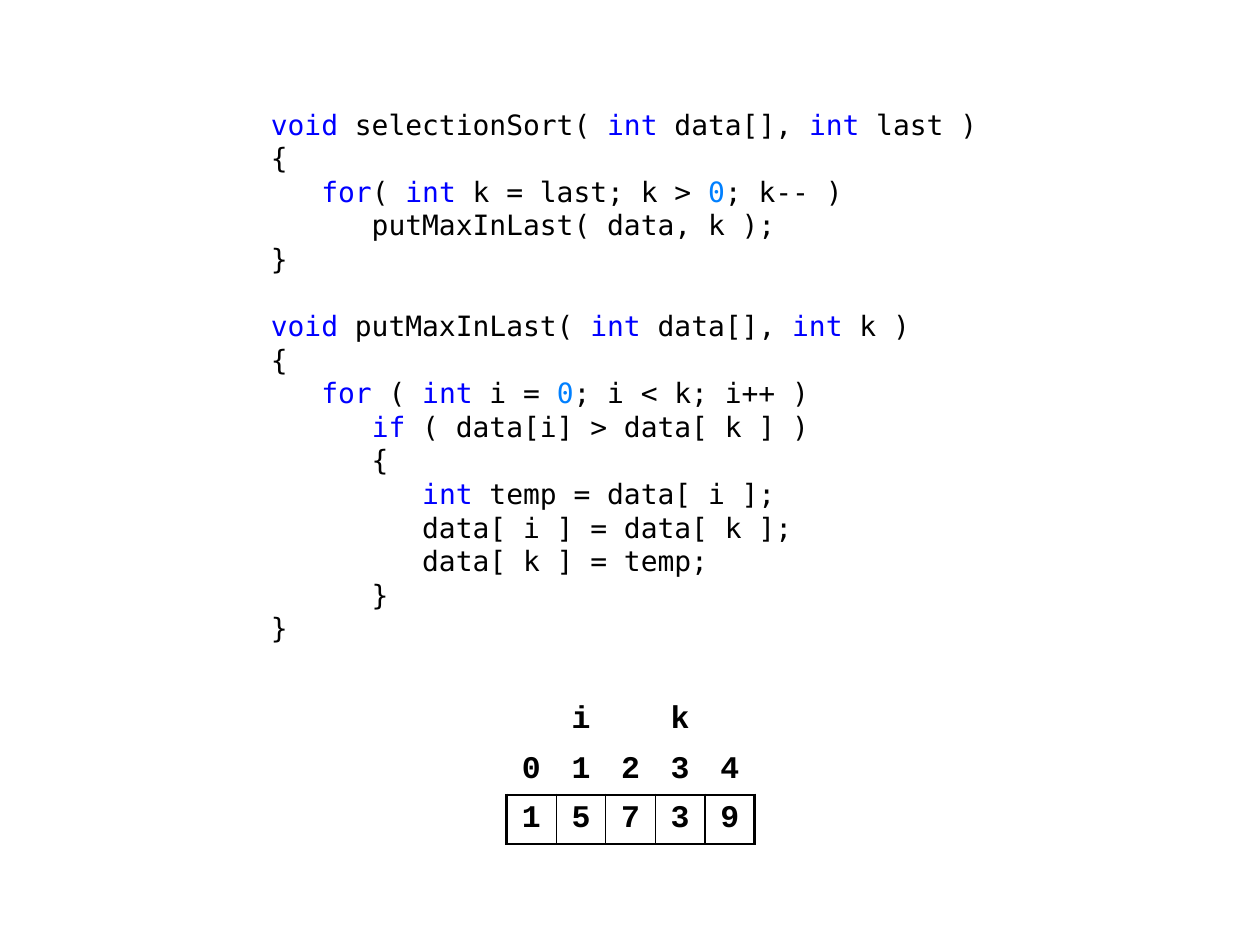
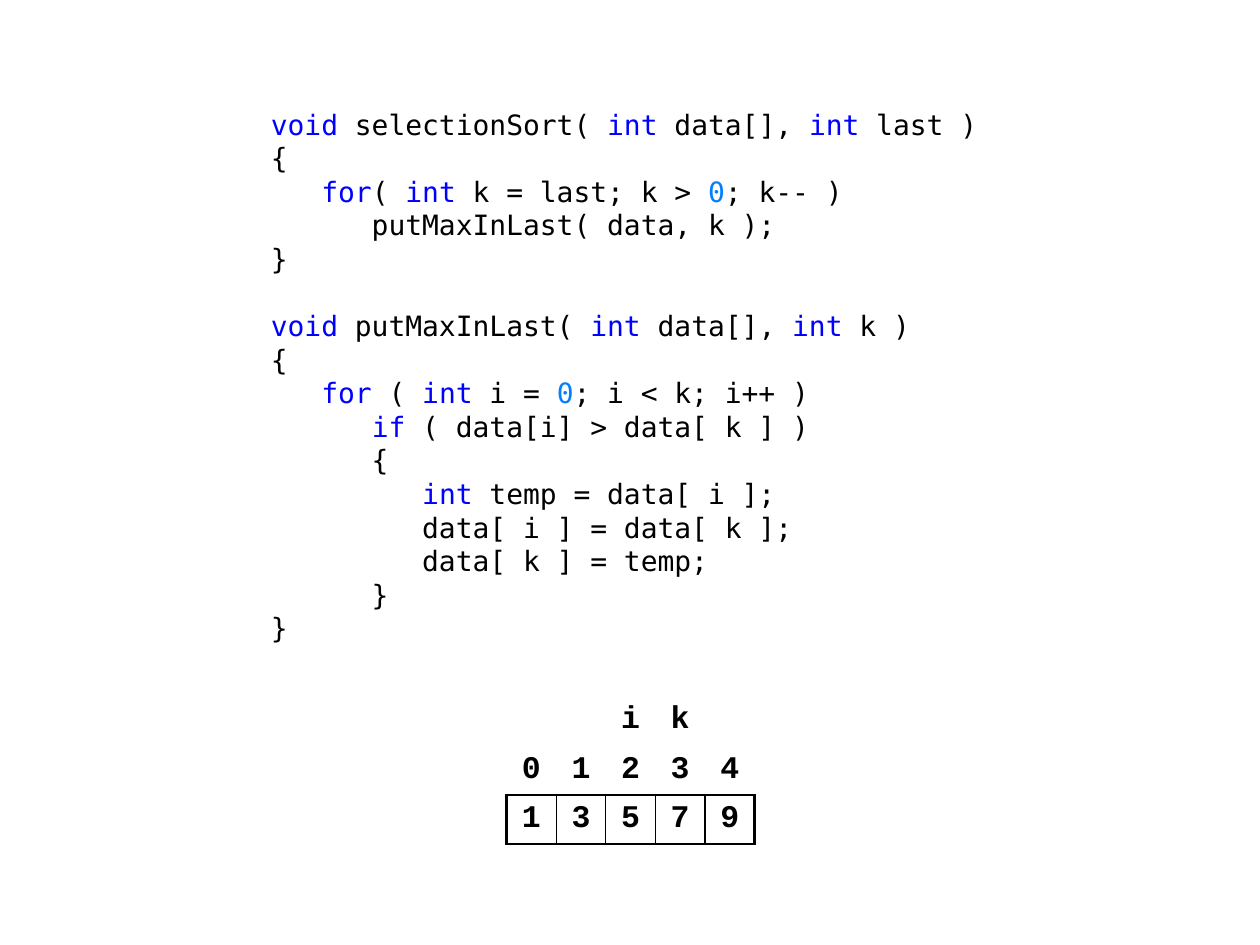
import dataclasses
import itertools

import lxml.etree
import pptx
import pptx.dml.color
import pptx.enum.text
import pptx.oxml.ns
import pptx.util

EMU_PER_PX = 9144  # 100 px to the inch


@dataclasses.dataclass(frozen=True)
class Theme:
    ink: str = "000000"
    paper: str = "FFFFFF"
    keyword: str = "0000FF"
    number: str = "0080FF"
    code_font: str = "DejaVu Sans Mono"
    code_size: int = 16
    code_line: float = 19.2
    array_font: str = "Courier New"
    array_size: int = 18
    frame: float = 1.5
    divider: float = 0.75


THEME = Theme()
KEYWORDS = {"void", "int", "for", "if"}

SELECTION_SORT = """\
void selectionSort( int data[], int last )
{
   for( int k = last; k > 0; k-- )
      putMaxInLast( data, k );
}"""

PUT_MAX_IN_LAST = """\
void putMaxInLast( int data[], int k )
{
   for ( int i = 0; i < k; i++ )
      if ( data[i] > data[ k ] )
      {
         int temp = data[ i ];
         data[ i ] = data[ k ];
         data[ k ] = temp;
      }
}"""

CODE_BOX = (205, 80, 591, 433)
ARRAY_BOX = (402, 552, 197, 118)

# Array values with the positions of the two markers
STEPS = [
    ([1, 5, 7, 3, 9], {"i": 1, "k": 3}),
    ([1, 3, 5, 7, 9], {"i": 2, "k": 3}),
]


def px(length):
    return pptx.util.Emu(length * EMU_PER_PX)


def add_text(paragraph, text, *, font, size, color=THEME.ink, bold=False):
    run = paragraph.add_run()
    run.text = text
    run.font.name = font
    run.font.size = pptx.util.Pt(size)
    run.font.bold = bold
    run.font.color.rgb = pptx.dml.color.RGBColor.from_string(color)


def token_color(token):
    if token in KEYWORDS:
        return THEME.keyword
    return THEME.number if token.isdigit() else THEME.ink


def colored_pieces(line):
    """Split a code line into (colour, text) pieces."""
    tokens = ("".join(group) for _, group in itertools.groupby(line, str.isalnum))
    for color, group in itertools.groupby(tokens, token_color):
        yield color, "".join(group)


def format_code_paragraph(paragraph, space_before):
    properties = paragraph._p.get_or_add_pPr()
    properties.set("marL", "0")
    properties.set("indent", "0")
    lxml.etree.SubElement(properties, pptx.oxml.ns.qn("a:buNone"))
    paragraph.line_spacing = pptx.util.Pt(THEME.code_line)
    paragraph.space_before = pptx.util.Pt(space_before)
    paragraph.space_after = pptx.util.Pt(0)


def fill_code(placeholder, box, functions):
    placeholder.left, placeholder.top, placeholder.width, placeholder.height = map(px, box)
    frame = placeholder.text_frame
    frame.word_wrap = True
    frame.auto_size = pptx.enum.text.MSO_AUTO_SIZE.NONE
    frame.vertical_anchor = pptx.enum.text.MSO_ANCHOR.TOP
    for function_index, function in enumerate(functions):
        for line_index, line in enumerate(function.splitlines()):
            is_first = function_index == line_index == 0
            paragraph = frame.paragraphs[0] if is_first else frame.add_paragraph()
            starts_next = function_index > 0 and line_index == 0
            format_code_paragraph(paragraph, THEME.code_line if starts_next else 0)
            for color, text in colored_pieces(line):
                add_text(paragraph, text, font=THEME.code_font,
                         size=THEME.code_size, color=color)


def set_borders(cell, **widths):
    """Draw cell borders; keys are L, R, T and B in that order, values are points."""
    properties = cell._tc.get_or_add_tcPr()
    for position, (side, width) in enumerate(widths.items()):
        line = lxml.etree.Element(pptx.oxml.ns.qn(f"a:ln{side}"),
                                  w=str(pptx.util.Pt(width)))
        fill = lxml.etree.SubElement(line, pptx.oxml.ns.qn("a:solidFill"))
        lxml.etree.SubElement(fill, pptx.oxml.ns.qn("a:srgbClr"), val=THEME.ink)
        properties.insert(position, line)


def fill_cell(cell, text):
    cell.fill.background()
    cell.vertical_anchor = pptx.enum.text.MSO_ANCHOR.MIDDLE
    cell.margin_left = cell.margin_right = px(10)
    cell.margin_top = cell.margin_bottom = px(4)
    paragraph = cell.text_frame.paragraphs[0]
    paragraph.alignment = pptx.enum.text.PP_ALIGN.CENTER
    if text:
        add_text(paragraph, text, font=THEME.array_font,
                 size=THEME.array_size, bold=True)


def add_array(slide, box, values, markers):
    """Add a table of markers, indices and framed values."""
    count = len(values)
    table = slide.shapes.add_table(3, count, *map(px, box)).table
    table.first_row = table.horz_banding = False
    marker_at = {index: name for name, index in markers.items()}
    for column, value in enumerate(values):
        marker_cell, index_cell, value_cell = (table.cell(row, column) for row in range(3))
        fill_cell(marker_cell, marker_at.get(column, ""))
        fill_cell(index_cell, str(column))
        fill_cell(value_cell, str(value))
        value_cell.fill.solid()
        value_cell.fill.fore_color.rgb = pptx.dml.color.RGBColor.from_string(THEME.paper)
        set_borders(index_cell, B=THEME.frame)
        set_borders(
            value_cell,
            L=THEME.frame if column == 0 else THEME.divider,
            R=THEME.frame if column == count - 1 else THEME.divider,
            T=THEME.frame,
            B=THEME.frame,
        )


def add_step_slide(presentation, values, markers):
    slide = presentation.slides.add_slide(presentation.slide_layouts[1])
    title = slide.shapes.title.element
    title.getparent().remove(title)
    fill_code(slide.placeholders[1], CODE_BOX, [SELECTION_SORT, PUT_MAX_IN_LAST])
    add_array(slide, ARRAY_BOX, values, markers)


def main():
    presentation = pptx.Presentation()
    presentation.slide_width = px(1000)
    presentation.slide_height = px(750)
    for values, markers in STEPS:
        add_step_slide(presentation, values, markers)
    presentation.save("out.pptx")


if __name__ == "__main__":
    main()
